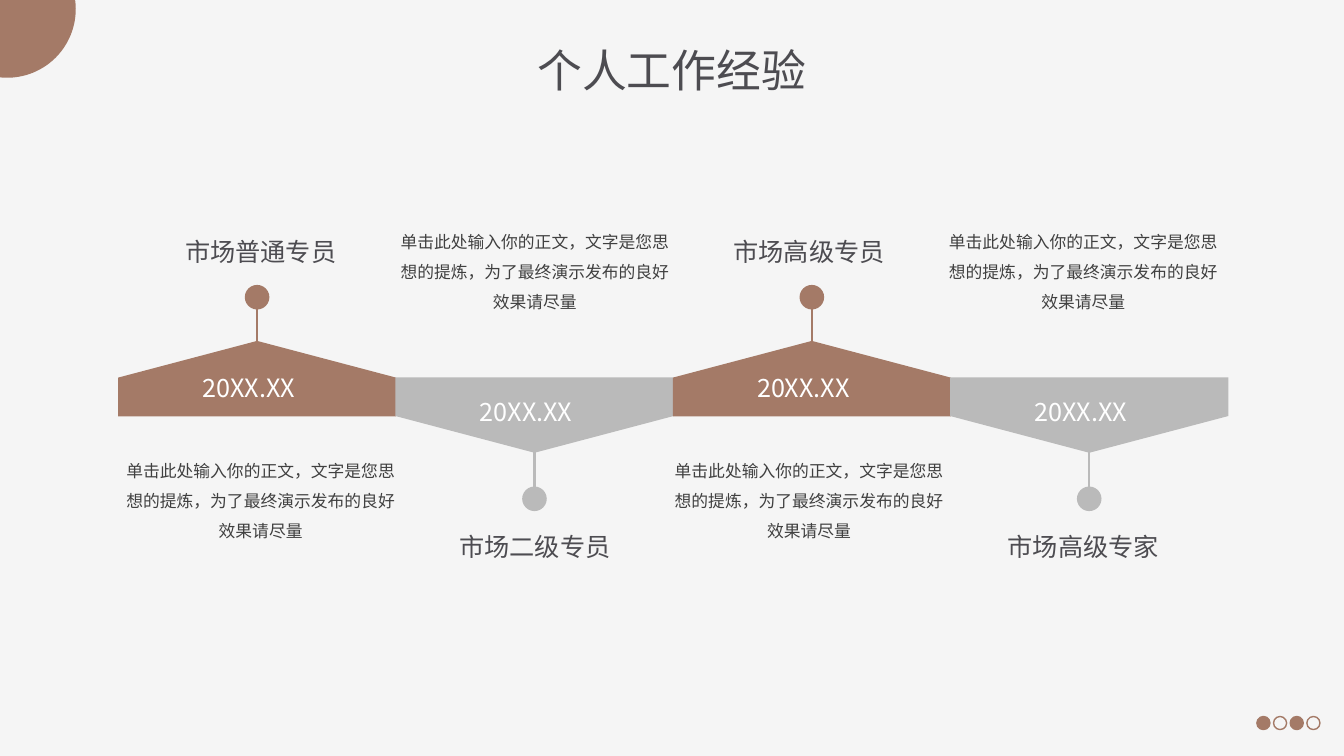
from math import asin, cos, pi, sin

from lxml import etree
from pptx import Presentation
from pptx.dml.color import RGBColor
from pptx.enum.shapes import MSO_CONNECTOR, MSO_SHAPE
from pptx.enum.text import MSO_ANCHOR, MSO_AUTO_SIZE, PP_ALIGN
from pptx.oxml.ns import qn
from pptx.util import Cm, Pt

OVAL, PLATE = MSO_SHAPE.OVAL, MSO_SHAPE.PENTAGON
STRAIGHT = MSO_CONNECTOR.STRAIGHT
LEFT, CENTER = PP_ALIGN.LEFT, PP_ALIGN.CENTER
TOP, FIXED = MSO_ANCHOR.TOP, MSO_AUTO_SIZE.NONE

BROWN = RGBColor(0xA4, 0x7A, 0x67)
GREY = RGBColor(0xBA, 0xBA, 0xBA)
PAPER = RGBColor(0xF5, 0xF5, 0xF5)
WHITE = RGBColor(0xFF, 0xFF, 0xFF)
INK = RGBColor(0x4D, 0x4C, 0x51)
DARK = RGBColor(0x40, 0x40, 0x40)
SANS, TEXT = "Noto Sans CJK SC", "Noto Sans CJK JP"

BODY = "单击此处输入你的正文，文字是您思想的提炼，为了最终演示发布的良好效果请尽量"
JOBS = ["市场普通专员", "市场二级专员", "市场高级专员", "市场高级专家"]

# Heights in cm of the parts of a stage, by the way its plate points
UP = dict(color=BROWN, turn=270, plate=9.54, dot=7.49, start=7.19, end=9.02,
          date=9.25, job=5.84, body=11.23)
DOWN = dict(color=GREY, turn=90, plate=10.46, dot=12.57, start=12.88, end=10.97,
            date=9.86, job=13.26, body=5.46)


def write(frame, text, size=18, font=SANS, color=INK, align=CENTER,
          space=1.0, wrap=True):
    frame.word_wrap = wrap
    frame.auto_size = FIXED
    frame.vertical_anchor = TOP
    para = frame.paragraphs[0]
    para.alignment = align
    para.line_spacing = space
    run = para.add_run()
    run.text = text
    run.font.size = Pt(size)
    run.font.color.rgb = color
    run.font.name = font
    east = etree.SubElement(run.font._element, qn("a:ea"))
    east.set("typeface", font)


class Deck:
    def __init__(self):
        self.show = Presentation()
        self.show.slide_width, self.show.slide_height = Cm(33.87), Cm(19.05)
        self.slide = self.show.slides.add_slide(self.show.slide_layouts[5])
        self.shapes = self.slide.shapes
        fill = self.slide.background.fill
        fill.solid()
        fill.fore_color.rgb = PAPER

    def title(self, text, x, y, w, h):
        box = self.shapes.title
        box.left, box.top, box.width, box.height = Cm(x), Cm(y), Cm(w), Cm(h)
        write(box.text_frame, text, size=32, wrap=False)

    def text(self, text, x, y, w, h, **style):
        box = self.shapes.add_textbox(Cm(x), Cm(y), Cm(w), Cm(h))
        write(box.text_frame, text, **style)

    def paint(self, shape, fill, edge=None):
        shape.shadow.inherit = False
        if fill is None:
            shape.fill.background()
        else:
            shape.fill.solid()
            shape.fill.fore_color.rgb = fill
        if edge is None:
            shape.line.fill.background()
        else:
            shape.line.color.rgb = edge
            shape.line.width = Pt(1)

    def shape(self, kind, x, y, w, h, fill, edge=None):
        """Place a shape by its centre."""
        item = self.shapes.add_shape(
            kind, Cm(x - w / 2), Cm(y - h / 2), Cm(w), Cm(h))
        self.paint(item, fill, edge)
        return item

    def line(self, x, start, end, color):
        item = self.shapes.add_connector(
            STRAIGHT, Cm(x), Cm(start), Cm(x), Cm(end))
        item.line.color.rgb = color
        item.line.width = Pt(1.5)
        etree.SubElement(item._element.spPr, qn("a:effectLst"))

    def corner(self, x, y, radius, fill, steps=60):
        """Fill the part of a disc that lies inside the top left corner."""
        first = -asin(y / radius)
        last = pi / 2 + asin(x / radius)
        turns = [first + (last - first) * i / steps for i in range(steps + 1)]
        arc = [(Cm(x + radius * cos(t)), Cm(y + radius * sin(t))) for t in turns]
        path = self.shapes.build_freeform(0, 0)
        path.add_line_segments(arc, close=True)
        self.paint(path.convert_to_shape(), fill)

    def stage(self, i, job, way):
        mid, axis = 6.48 + 6.99 * i, 6.57 + 6.91 * i
        color = way["color"]
        self.line(mid, way["start"], way["end"], color)
        self.shape(OVAL, mid, way["dot"], 0.62, 0.62, color)
        plate = self.shape(PLATE, mid, way["plate"], 1.9, 7.01, color)
        plate.rotation = way["turn"]
        plate.adjustments[0] = 0.487
        self.text("20XX.XX", mid - 1.63, way["date"], 3.18, 1.02,
                  color=WHITE, align=LEFT)
        self.text(job, axis - 2.18, way["job"], 4.36, 1.02, wrap=False)
        self.text(BODY, axis - 3.7, way["body"], 7.4, 2.57,
                  size=12, font=TEXT, color=DARK, space=1.5)


def main():
    deck = Deck()

    # Heading and corner
    deck.title("个人工作经验", 13.26, 0.94, 7.34, 1.63)
    deck.corner(0.18, 0.23, 1.73, BROWN)

    # Page dots
    for i in range(4):
        fill = None if i % 2 else BROWN
        deck.shape(OVAL, 31.84 + 0.42 * i, 18.22, 0.33, 0.33, fill, BROWN)

    # Timeline
    for i, job in enumerate(JOBS):
        deck.stage(i, job, DOWN if i % 2 else UP)

    deck.show.save("out.pptx")


if __name__ == "__main__":
    main()
